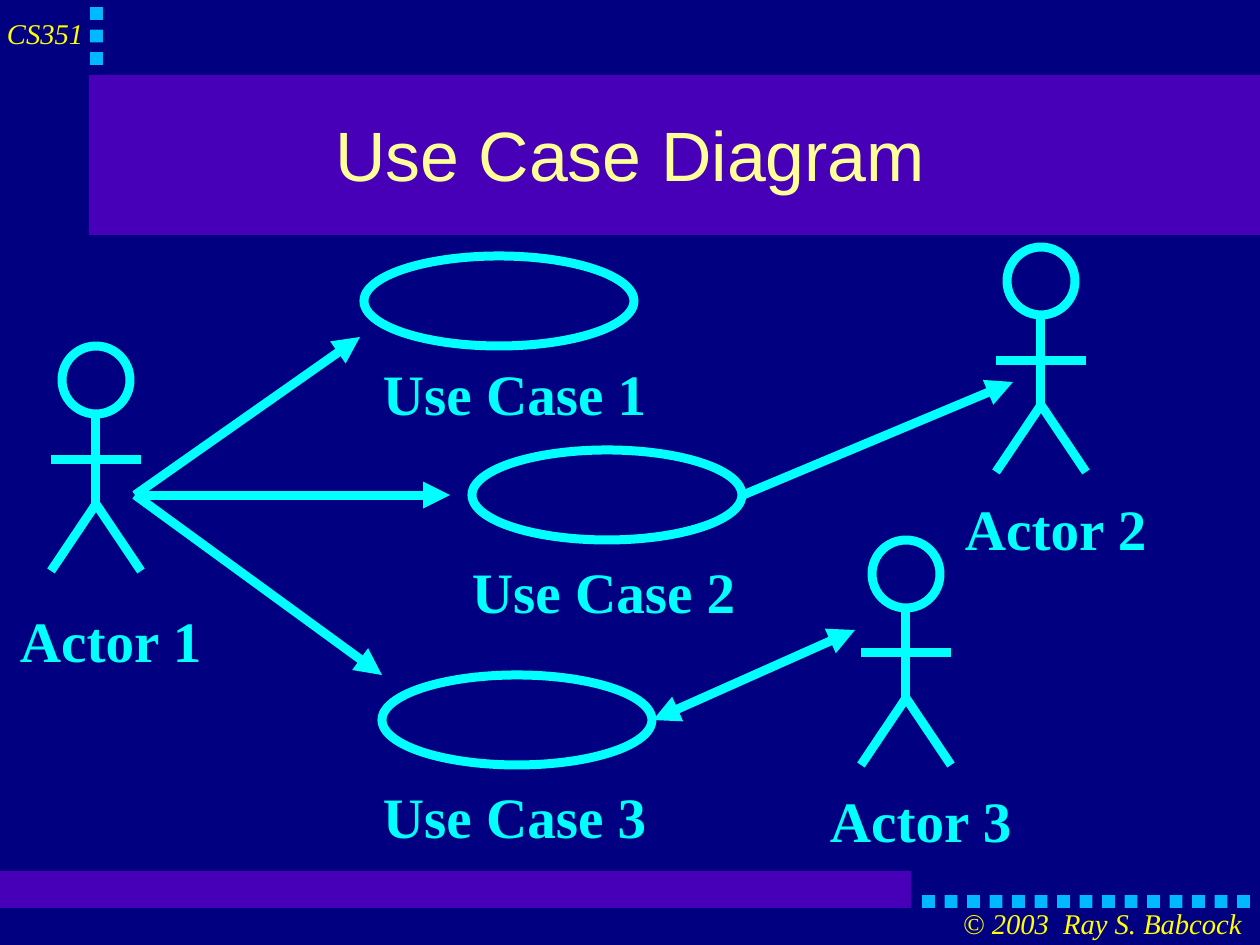
from pptx import Presentation
from pptx import util as u
from pptx.dml.color import RGBColor
from pptx.enum import shapes as es, text as et
from pptx.oxml.ns import qn
from lxml import etree

NAVY = RGBColor(0x00, 0x00, 0x80)
VIOLET = RGBColor(0x47, 0x00, 0xB8)
BLUE = RGBColor(0x00, 0xB8, 0xFF)
CYAN = RGBColor(0x00, 0xFF, 0xFF)
YELLOW = RGBColor(0xFF, 0xFF, 0x00)
CREAM = RGBColor(0xFF, 0xFF, 0x99)

PX = 8000  # EMU
WIDE, HIGH = 1260, 945
BANDS = [(89, 75, 1171, 160), (0, 871, 911, 37)]
DOT, STEP = 13, 22.5
DOTS = [(90, 7, 0, 1, 3), (922, 895, 1, 0, 15)]  # x, y, right, down, count
TITLE = ("Use Case Diagram", (93, 79, 1075, 158))
NOTES = [("CS351", (7, 19, 83, 32)),
         ("© 2003  Ray S. Babcock", (963, 909, 285, 32))]
ACTORS = [  # name, centre x, top, label y
    ("Actor 1", 96, 346, 612),
    ("Actor 2", 1041, 247, 500),
    ("Actor 3", 906, 540, 792),
]
HEAD = 68
LIMBS = [(0, 68, 0, 158), (0, 158, -45, 225), (0, 158, 45, 225),
         (-45, 113, 45, 113)]
CASES = [  # name, oval x, oval y, label x, label y
    ("Use Case 1", 364, 256, 383, 365),
    ("Use Case 2", 472, 450, 472, 563),
    ("Use Case 3", 382, 675, 383, 788),
]
OVAL = (270, 90)
ARROWS = [  # from, to, arrowheads
    (135, 495, 360, 337, ["tailEnd"]),
    (135, 495, 450, 495, ["tailEnd"]),
    (135, 495, 382, 675, ["tailEnd"]),
    (743, 495, 1013, 382, ["tailEnd"]),
    (653, 720, 855, 630, ["headEnd", "tailEnd"]),
]
HEADING = dict(name="Arial", size=u.Pt(44), bold=False)
LABEL = dict(name="Times New Roman", size=u.Pt(36), bold=True)
NOTE = dict(name="Times New Roman", size=u.Pt(18), italic=True)

deck = Presentation()
deck.slide_width, deck.slide_height = WIDE * PX, HIGH * PX
slide = deck.slides.add_slide(deck.slide_layouts[5])
slide.background.fill.solid()
slide.background.fill.fore_color.rgb = NAVY


def emu(box):
    return [round(n * PX) for n in box]


def block(box, hue):
    part = slide.shapes.add_shape(es.MSO_SHAPE.RECTANGLE, *emu(box))
    part.shadow.inherit = False
    part.fill.solid()
    part.fill.fore_color.rgb = hue
    part.line.fill.background()


def pen(part):
    part.line.color.rgb = CYAN
    part.line.width = u.Pt(5.67)


def ring(box):
    part = slide.shapes.add_shape(es.MSO_SHAPE.OVAL, *emu(box))
    part.shadow.inherit = False
    part.fill.background()
    pen(part)


def stroke(ends, heads=()):
    part = slide.shapes.add_connector(es.MSO_CONNECTOR.STRAIGHT, *emu(ends))
    pen(part)
    for head in heads:
        etree.SubElement(part.line._ln, qn("a:" + head), type="triangle")
    etree.SubElement(part._element.spPr, qn("a:effectLst"))


def write(part, words, look, hue, align=et.PP_ALIGN.LEFT,
          anchor=et.MSO_ANCHOR.TOP, wrap=True):
    frame = part.text_frame
    form = dict(word_wrap=wrap, auto_size=et.MSO_AUTO_SIZE.NONE,
                vertical_anchor=anchor, margin_left=0, margin_right=0,
                margin_top=0, margin_bottom=0, text=words)
    for key, value in form.items():
        setattr(frame, key, value)
    para = frame.paragraphs[0]
    para.alignment, para.line_spacing = align, 0.93
    font = para.runs[0].font
    for key, value in look.items():
        setattr(font, key, value)
    font.color.rgb = hue


def label(words, box, look=LABEL, hue=CYAN):
    write(slide.shapes.add_textbox(*emu(box)), words, look, hue)


for band in BANDS:
    block(band, VIOLET)
for x, y, right, down, count in DOTS:
    for i in range(count):
        gap = i * STEP
        block((x + right * gap, y + down * gap, DOT, DOT), BLUE)
for words, box in NOTES:
    label(words, box, NOTE, YELLOW)

words, box = TITLE
title = slide.shapes.title
title.left, title.top, title.width, title.height = emu(box)
write(title, words, HEADING, CREAM, et.PP_ALIGN.CENTER, et.MSO_ANCHOR.MIDDLE)
slide.shapes._spTree.append(title._element)  # in front of its band

for name, x, y, low in ACTORS:
    ring((x - HEAD / 2, y, HEAD, HEAD))
    for x1, y1, x2, y2 in LIMBS:
        stroke((x + x1, y + y1, x + x2, y + y2))
    label(name, (x - 76, low, 183, 64))
for name, x, y, left, low in CASES:
    ring((x, y, *OVAL))
    label(name, (left, low, 360, 64))
for *ends, heads in ARROWS:
    stroke(ends, heads)

deck.save("out.pptx")
